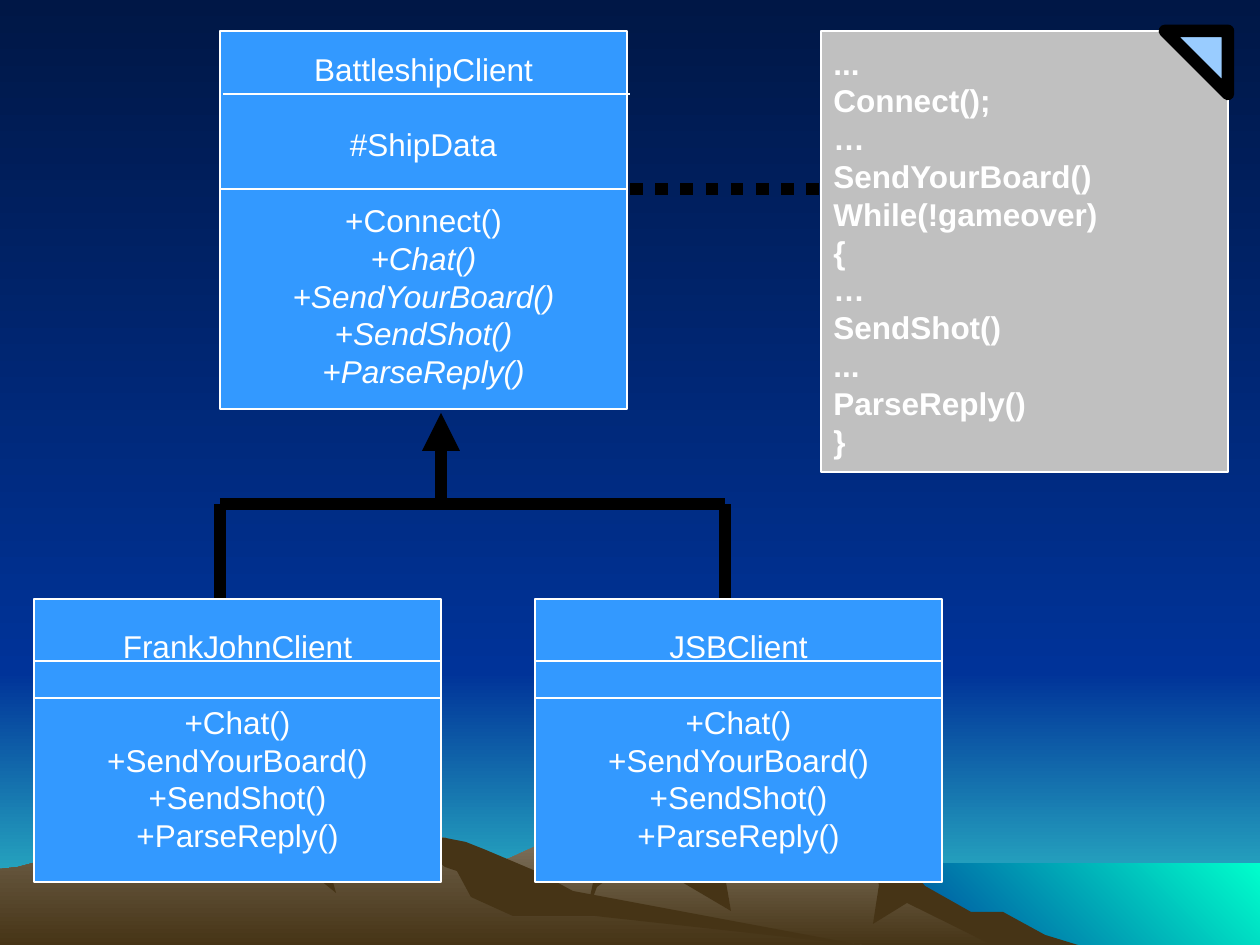
import pptx
import pptx.util
import pptx.dml.color
import pptx.enum.dml
import pptx.enum.shapes
import pptx.enum.text
import pptx.oxml
import pptx.oxml.ns

EMU_PER_PX = 914400 / 126
LINE_PITCH = 21.6
THIN, THICK = 0.75, 7.2
COLORS = {
    "night": "001746", "blue": "003399", "horizon": "33CCCC", "sea": "00FFCC",
    "far_hill": "837763", "near_hill": "72644E", "earth": "463416",
    "class": "3399FF", "note": "C0C0C0", "fold": "99CCFF",
    "white": "FFFFFF", "black": "000000",
}
SHAPES = pptx.enum.shapes.MSO_SHAPE
ALIGN = pptx.enum.text.PP_ALIGN

FAR_HILL = [
    (1011, 932), (980, 916), (963, 911), (911, 879), (885, 845), (863, 832),
    (852, 840), (827, 845), (793, 845), (772, 858), (713, 878), (675, 869),
    (667, 852), (663, 848), (641, 843), (626, 845), (612, 848), (597, 833),
    (593, 829), (586, 829), (567, 837), (552, 845), (534, 847), (510, 858),
    (496, 863), (447, 879), (412, 893), (349, 931), (325, 946), (1034, 946)]
NEAR_HILL = [
    (869, 946), (840, 942), (544, 897), (446, 838), (417, 835), (412, 842),
    (407, 842), (401, 837), (373, 852), (352, 858), (341, 859), (328, 852),
    (297, 858), (281, 835), (276, 832), (267, 829), (248, 829), (238, 834),
    (227, 837), (212, 843), (202, 845), (186, 840), (180, 840), (166, 845),
    (155, 843), (140, 843), (118, 845), (86, 834), (71, 843), (58, 849),
    (44, 856), (33, 863), (18, 867), (0, 869), (0, 946)]
FAR_SHADOWS = [
    [(1003, 912), (971, 912), (925, 886), (891, 845), (863, 832), (868, 837),
     (863, 845), (871, 857), (879, 885), (873, 924), (907, 903), (998, 948),
     (1081, 946), (1045, 935)],
    [(593, 829), (597, 834), (591, 837), (590, 845), (595, 857), (596, 869),
     (586, 916), (597, 887), (604, 882), (614, 861), (617, 859), (617, 852),
     (626, 845), (621, 844)],
    [(667, 852), (665, 854), (663, 861), (675, 878), (731, 911), (726, 882),
     (746, 868), (718, 872), (683, 863)]]
NEAR_SHADOWS = [
    [(267, 835), (262, 843), (276, 854), (292, 869), (304, 867), (336, 893),
     (329, 868), (341, 859), (335, 856), (328, 849), (309, 842), (292, 835),
     (282, 834), (268, 830)],
    [(466, 842), (446, 838), (433, 838), (427, 843), (425, 866), (438, 861),
     (445, 867), (457, 871), (471, 897), (513, 916), (595, 916), (869, 946),
     (861, 945), (573, 891), (538, 872), (505, 858), (486, 850)]]


def px(n):
    return pptx.util.Emu(round(n * EMU_PER_PX))


def rgb(name):
    return pptx.dml.color.RGBColor.from_string(COLORS[name])


def set_fill(fill, *names, angle=90):
    """One colour name fills solid; two make a gradient, angle clockwise."""
    if len(names) == 1:
        fill.solid()
        fill.fore_color.rgb = rgb(names[0])
        return
    fill.gradient()
    fill.gradient_angle = 360 - angle
    for stop, name in zip(fill.gradient_stops, names):
        stop.color.rgb = rgb(name)


def set_line(line, color, width):
    line.color.rgb = rgb(color)
    line.width = pptx.util.Pt(width)


def add_polygon(s, points, *colors, angle=90):
    builder = s.shapes.build_freeform(*points[0], scale=EMU_PER_PX)
    builder.add_line_segments(points[1:], close=True)
    sp = builder.convert_to_shape()
    sp.shadow.inherit = False
    set_fill(sp.fill, *colors, angle=angle)
    sp.line.fill.background()


def add_band(s, left, top, right, bottom, *colors, angle=90):
    corners = [(right, bottom), (left, bottom), (left, top), (right, top)]
    add_polygon(s, corners, *colors, angle=angle)


def add_box(s, kind, left, top, width, height, color, line="white", weight=THIN):
    sp = s.shapes.add_shape(kind, px(left), px(top), px(width), px(height))
    sp.shadow.inherit = False
    set_fill(sp.fill, color)
    set_line(sp.line, line, weight)
    return sp


def add_line(s, x1, y1, x2, y2, color="black", width=THICK, dash=None, arrow=False):
    line = s.shapes.add_connector(
        pptx.enum.shapes.MSO_CONNECTOR.STRAIGHT, px(x1), px(y1), px(x2), px(y2))
    set_line(line.line, color, width)
    if dash:
        line.line.dash_style = dash
    if arrow:
        tail = pptx.oxml.parse_xml(
            f'<a:tailEnd {pptx.oxml.ns.nsdecls("a")} type="triangle"/>')
        line.line._get_or_add_ln().append(tail)
    line._element.spPr.append(
        pptx.oxml.parse_xml(f'<a:effectLst {pptx.oxml.ns.nsdecls("a")}/>'))


def add_text(tf, text, first=False, align=ALIGN.CENTER, gap=0, bold=False, italic=False):
    p = tf.paragraphs[0] if first else tf.add_paragraph()
    p.alignment = align
    p.line_spacing = pptx.util.Pt(LINE_PITCH)
    p.space_before = pptx.util.Pt(gap)
    r = p.add_run()
    r.text = text
    r.font.name = "Arial"
    r.font.size = pptx.util.Pt(18)
    r.font.bold = bold
    r.font.italic = italic
    r.font.color.rgb = rgb("white")


def text_frame(sp):
    tf = sp.text_frame
    tf.word_wrap = True
    tf.vertical_anchor = pptx.enum.text.MSO_ANCHOR.MIDDLE
    return tf


def add_class(s, left, top, height, sections, dividers, italic=()):
    """Draw a UML class; dividers are (x shift, y) pairs."""
    width = 407
    tf = text_frame(add_box(s, SHAPES.RECTANGLE, left, top, width, height, "class"))
    for i, section in enumerate(sections):
        for j, text in enumerate(section):
            add_text(tf, text, first=i == j == 0, italic=text in italic,
                     gap=LINE_PITCH if i and not j else 0)
    for shift, y in dividers:
        add_line(s, left + shift, y, left + shift + width, y, "white", THIN)


def add_note(s, lines):
    tf = text_frame(add_box(s, SHAPES.RECTANGLE, 821, 31, 407, 441, "note"))
    for i, text in enumerate(lines):
        add_text(tf, text, first=i == 0, align=ALIGN.LEFT, bold=True)
    fold = add_box(s, SHAPES.RIGHT_TRIANGLE, 1165, 31, 63, 63, "fold", "black", THICK)
    for flip in ("flipH", "flipV"):
        fold._element.spPr.xfrm.set(flip, "1")
    fold.line._get_or_add_ln().append(
        pptx.oxml.parse_xml(f'<a:round {pptx.oxml.ns.nsdecls("a")}/>'))


def add_landscape(s):
    set_fill(s.background.fill, "night", "blue")
    add_band(s, 0, 672, 1260, 945, "blue", "horizon")
    add_band(s, 0, 0, 1260, 672, "night", "blue")
    add_band(s, 861, 863, 1260, 947, "sea", "blue", angle=135)
    for hill, color, shadows in ((FAR_HILL, "far_hill", FAR_SHADOWS),
                                 (NEAR_HILL, "near_hill", NEAR_SHADOWS)):
        add_polygon(s, hill, color, "earth")
        for shadow in shadows:
            add_polygon(s, shadow, "earth")


def main():
    prs = pptx.Presentation()
    prs.slide_width, prs.slide_height = px(1260), px(945)
    s = prs.slides.add_slide(prs.slide_layouts[6])
    add_landscape(s)

    methods = ["+Chat()", "+SendYourBoard()", "+SendShot()", "+ParseReply()"]
    add_class(s, 220, 31, 378,
              [["BattleshipClient"], ["#ShipData"], ["+Connect()"] + methods],
              [(3, 94), (0, 189)], italic=methods)
    for x1, y1, x2, y2 in ((220, 599, 220, 504), (725, 599, 725, 504),
                           (220, 504, 725, 504)):
        add_line(s, x1, y1, x2, y2)
    add_line(s, 441, 508, 441, 413, arrow=True)
    for left, name in ((34, "FrankJohnClient"), (535, "JSBClient")):
        add_class(s, left, 599, 283, [[name], methods], [(0, 698), (0, 661)])

    add_note(s, ["...", "Connect();", "…", "SendYourBoard()", "While(!gameover)",
                 "{", "…", "SendShot()", "...", "ParseReply()", "}"])
    add_line(s, 630, 189, 819, 189, dash=pptx.enum.dml.MSO_LINE.ROUND_DOT)
    prs.save("out.pptx")


if __name__ == "__main__":
    main()
